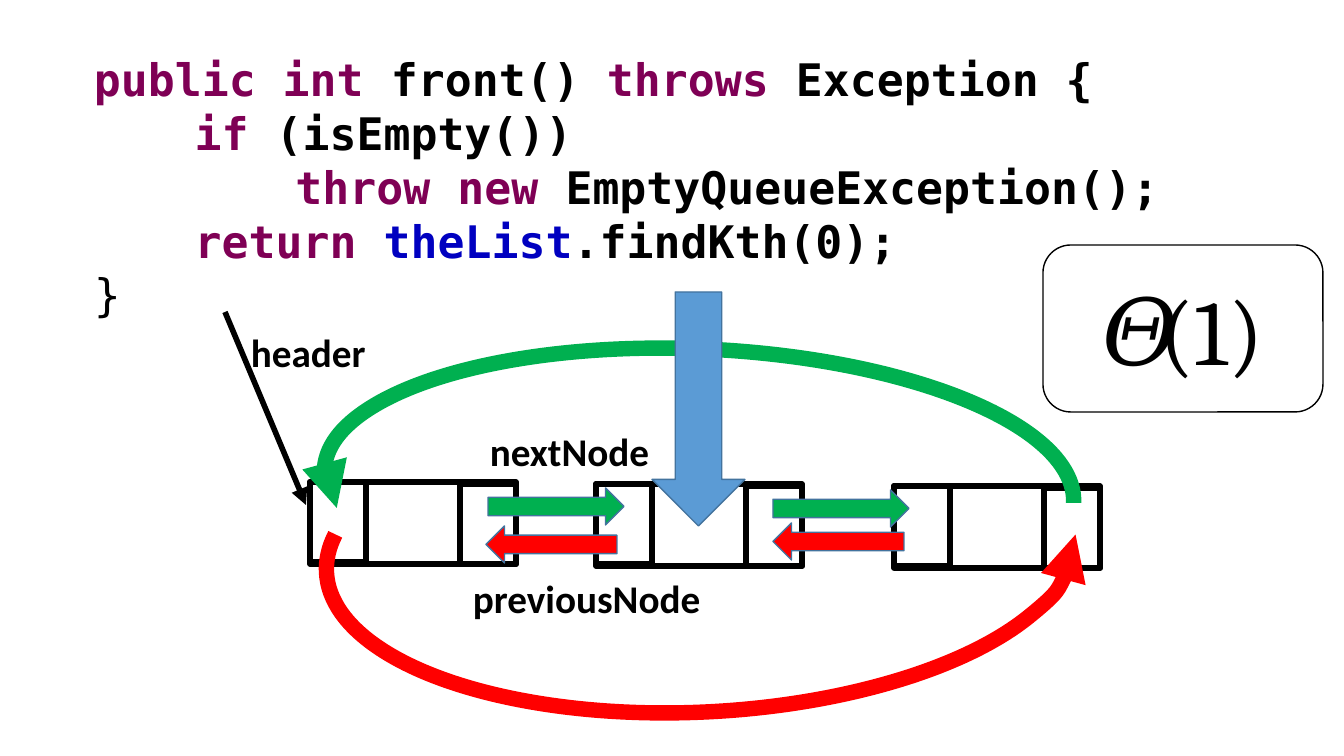
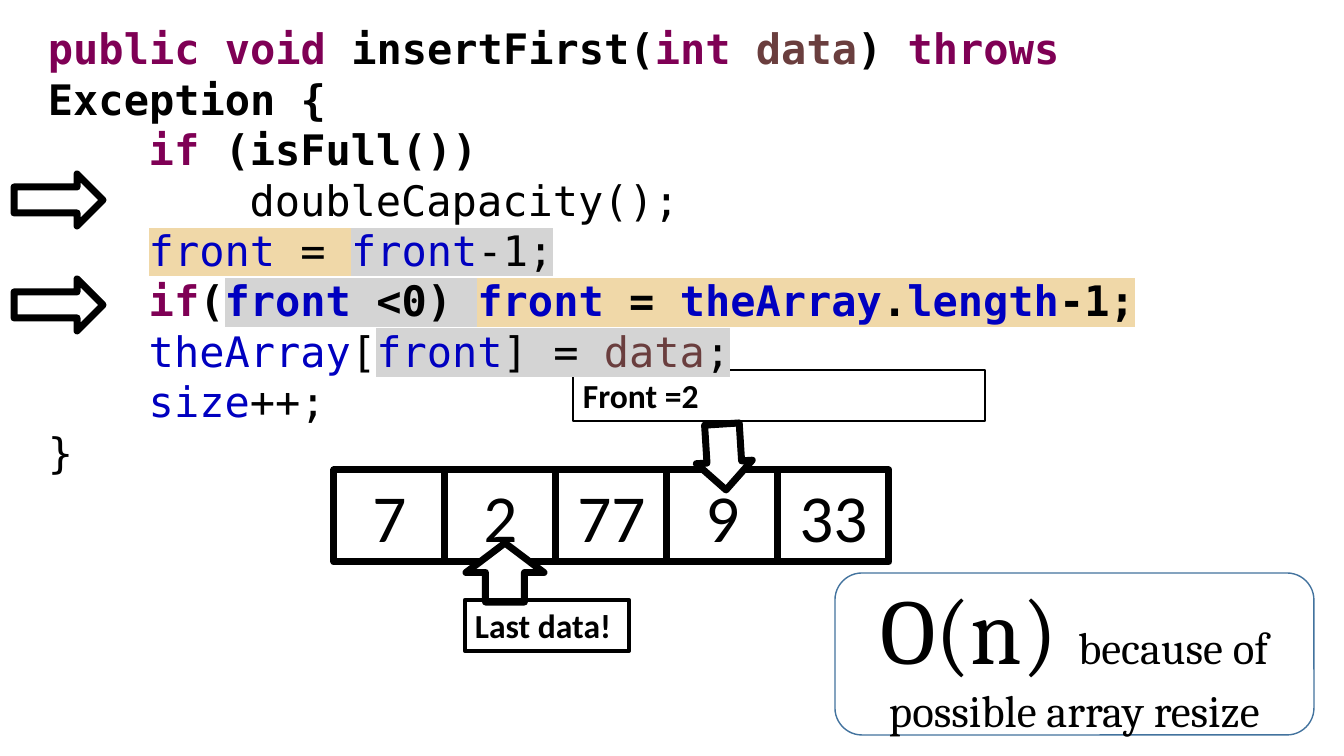
from lxml.etree import SubElement
from pptx import Presentation
from pptx.dml.color import RGBColor
from pptx.enum.shapes import MSO_CONNECTOR, MSO_SHAPE
from pptx.enum.text import MSO_ANCHOR, PP_ALIGN
from pptx.oxml.ns import qn
from pptx.util import Emu, Inches, Pt

SLIDE_W, SLIDE_H = 1344, 756
SCALE = 12192000 / SLIDE_W

BLACK = RGBColor(0x00, 0x00, 0x00)
WHITE = RGBColor(0xFF, 0xFF, 0xFF)
KEYWORD = RGBColor(0x7F, 0x00, 0x55)
FIELD = RGBColor(0x00, 0x00, 0xC0)
PARAMETER = RGBColor(0x6A, 0x3E, 0x3E)
GREEN = RGBColor(0x00, 0xB0, 0x50)
RED = RGBColor(0xFF, 0x00, 0x00)
BLUE = RGBColor(0x5B, 0x9B, 0xD5)
OUTLINE = RGBColor(0x43, 0x73, 0x9E)
WRITE = "F0D8A8"
READ = "D4D4D4"

CODE_FONT, LABEL_FONT, MATH_FONT = "DejaVu Sans Mono", "Calibri", "Cambria"

FRONT_CODE = [
    (0, True, [("public int", KEYWORD), (" front() ", BLACK),
               ("throws", KEYWORD), (" Exception {", BLACK)]),
    (1, True, [("if", KEYWORD), (" (isEmpty())", BLACK)]),
    (2, True, [("throw new ", KEYWORD), ("EmptyQueueException();", BLACK)]),
    (1, True, [("return ", KEYWORD), ("theList", FIELD), (".findKth(0);", BLACK)]),
    (0, False, [("}", BLACK)]),
]
INSERT_CODE = [
    (0, True, [("public void ", KEYWORD), ("insertFirst(", BLACK), ("int ", KEYWORD),
               ("data", PARAMETER), (") ", BLACK), ("throws", KEYWORD),
               (" Exception {", BLACK)]),
    (1, True, [("if", KEYWORD), (" (isFull())", BLACK)]),
    (2, False, [("doubleCapacity();", BLACK)]),
    (1, False, [("front", FIELD, WRITE), (" = ", BLACK, WRITE),
                ("front", FIELD, READ), ("-1;", BLACK, READ)]),
    (1, True, [("if", KEYWORD), ("(", BLACK), ("front", FIELD, READ),
               (" <0) ", BLACK, READ), ("front", FIELD, WRITE), (" = ", BLACK, WRITE),
               ("theArray", FIELD, WRITE), (".", BLACK, WRITE),
               ("length", FIELD, WRITE), ("-1;", BLACK, WRITE)]),
    (1, False, [("theArray", FIELD), ("[", BLACK), ("front", FIELD, READ),
                ("] = ", BLACK, READ), ("data", PARAMETER, READ), (";", BLACK, READ)]),
    (1, False, [("size", FIELD), ("++;", BLACK)]),
    (0, False, [("}", BLACK)]),
]

NODE_LEFTS = [310, 596, 894]
NODE_TOP, NODE_STEP = 482, 2
NODE_W, NODE_H = 206, 82
LINK_W, LINK_H = 56, 80
LINK_ARROWS = [
    (MSO_SHAPE.RIGHT_ARROW, (488, 488, 136, 37), GREEN),
    (MSO_SHAPE.RIGHT_ARROW, (773, 490, 136, 37), GREEN),
    (MSO_SHAPE.LEFT_ARROW, (773, 523, 131, 37), RED),
    (MSO_SHAPE.LEFT_ARROW, (486, 526, 131, 37), RED),
]
RING_ARCS = [
    ((324, 349, 750, 275), 2.5, (104.46, 0), GREEN),
    ((326, 395, 750, 317), 357.1, (0, 111.54), RED),
]
NODE_LABELS = [
    ("header", (241, 323, 219, 57)),
    ("nextNode", (480, 422, 219, 57)),
    ("previousNode", (463, 569, 258, 57)),
]

ARRAY = ["7", "2", "77", "9", "33"]
ARRAY_LEFT, ARRAY_TOP, CELL_W, CELL_H = 334, 470, 111, 92
STEP_ARROW_TOPS = [279, 174]


def px(value):
    return Emu(round(value * SCALE))


def place(box):
    return [px(value) for value in box]


def write(shape, lines, font, size, align=PP_ALIGN.LEFT, anchor=MSO_ANCHOR.TOP):
    frame = shape.text_frame
    for key, value in {"word_wrap": True, "vertical_anchor": anchor}.items():
        setattr(frame, key, value)
    for number, (depth, bold, runs) in enumerate(lines):
        line = frame.add_paragraph() if number else frame.paragraphs[0]
        line.alignment = align
        if depth:
            line._p.get_or_add_pPr().set("marL", str(Inches(depth)))
        for words, color, *extra in runs:
            run = line.add_run()
            run.text = words
            look = {"name": font, "size": Pt(size), "bold": bold}
            for part in extra:
                if isinstance(part, int):
                    look["size"] = Pt(part)
            for key, value in look.items():
                setattr(run.font, key, value)
            run.font.color.rgb = color
            for part in extra:
                if isinstance(part, str):
                    fill = run._r.rPr.find(qn("a:solidFill"))
                    marker = SubElement(run._r.rPr, qn("a:highlight"))
                    SubElement(marker, qn("a:srgbClr")).set("val", part)
                    fill.addnext(marker)


def add_text(slide, box, lines, font, size):
    write(slide.shapes.add_textbox(*place(box)), lines, font, size)


def add_figure(slide, kind, box, line, width, fill=None, rotation=0, adjust=()):
    figure = slide.shapes.add_shape(kind, *place(box))
    figure.shadow.inherit = False
    figure.rotation = rotation
    for number, value in enumerate(adjust):
        figure.adjustments[number] = value
    if fill is None:
        figure.fill.background()
    else:
        figure.fill.solid()
        figure.fill.fore_color.rgb = fill
    figure.line.color.rgb = line
    figure.line.width = Pt(width)
    return figure


def add_arrowhead(line, end):
    SubElement(line.line._get_or_add_ln(), qn(end)).set("type", "triangle")


def build_front(slide):
    add_text(slide, (84, 47, 1260, 281), FRONT_CODE, CODE_FONT, 32)

    header = slide.shapes.add_connector(MSO_CONNECTOR.STRAIGHT, *place((225, 312, 306, 505)))
    header.line.color.rgb = BLACK
    header.line.width = Pt(4)
    add_arrowhead(header, "a:tailEnd")
    SubElement(header._element.spPr, qn("a:effectLst"))

    for number, left in enumerate(NODE_LEFTS):
        top = NODE_TOP + number * NODE_STEP
        for box in [(left, top, NODE_W, NODE_H),
                    (left, top, LINK_W, LINK_H),
                    (left + NODE_W - LINK_W, top + NODE_STEP, LINK_W, LINK_H)]:
            add_figure(slide, MSO_SHAPE.RECTANGLE, box, BLACK, 3.75)

    for kind, box, color in LINK_ARROWS:
        add_figure(slide, kind, box, OUTLINE, 1, color)
    for box, rotation, angles, color in RING_ARCS:
        ring = add_figure(slide, MSO_SHAPE.ARC, box, color, 11, None, rotation, angles)
        add_arrowhead(ring, "a:headEnd")
    for words, box in NODE_LABELS:
        add_text(slide, box, [(0, True, [(words, BLACK)])], LABEL_FONT, 28)

    add_figure(slide, MSO_SHAPE.DOWN_ARROW, (652, 292, 93, 234), OUTLINE, 1, BLUE)
    cost = add_figure(slide, MSO_SHAPE.ROUNDED_RECTANGLE, (1043, 245, 280, 167), BLACK, 1)
    write(cost, [(0, False, [("𝛩(1)", BLACK)])], MATH_FONT, 66,
          PP_ALIGN.CENTER, MSO_ANCHOR.MIDDLE)


def build_insert(slide):
    for number, value in enumerate(ARRAY):
        box = (ARRAY_LEFT + number * CELL_W, ARRAY_TOP, CELL_W, CELL_H)
        cell = add_figure(slide, MSO_SHAPE.RECTANGLE, box, BLACK, 5)
        write(cell, [(0, False, [(value, BLACK)])], LABEL_FONT, 48, PP_ALIGN.CENTER)

    add_figure(slide, MSO_SHAPE.UP_ARROW, (466, 543, 78, 59), BLACK, 5, WHITE)
    for words, box, width, fill in [("Last data!", (465, 600, 164, 51), 3, None),
                                    ("Front =2", (573, 370, 412, 51), 2, WHITE)]:
        label = add_figure(slide, MSO_SHAPE.RECTANGLE, box, BLACK, width, fill)
        write(label, [(0, True, [(words, BLACK)])], LABEL_FONT, 24)
    add_figure(slide, MSO_SHAPE.DOWN_ARROW, (696, 424, 56, 66), BLACK, 5, WHITE,
               356.4, (0.62, 0.5))

    cost = add_figure(slide, MSO_SHAPE.ROUNDED_RECTANGLE, (835, 573, 479, 162), OUTLINE, 1)
    write(cost, [(0, False, [("O(n) ", BLACK), ("because of possible array resize", BLACK, 32)])],
          MATH_FONT, 66, PP_ALIGN.CENTER, MSO_ANCHOR.MIDDLE)

    add_text(slide, (38, 18, 1276, 417), INSERT_CODE, CODE_FONT, 30)
    for top in STEP_ARROW_TOPS:
        add_figure(slide, MSO_SHAPE.RIGHT_ARROW, (14, top, 89, 52), BLACK, 5, WHITE)


def main():
    deck = Presentation()
    deck.slide_width, deck.slide_height = px(SLIDE_W), px(SLIDE_H)
    for build in (build_front, build_insert):
        build(deck.slides.add_slide(deck.slide_layouts[6]))
    deck.save("out.pptx")


if __name__ == "__main__":
    main()
